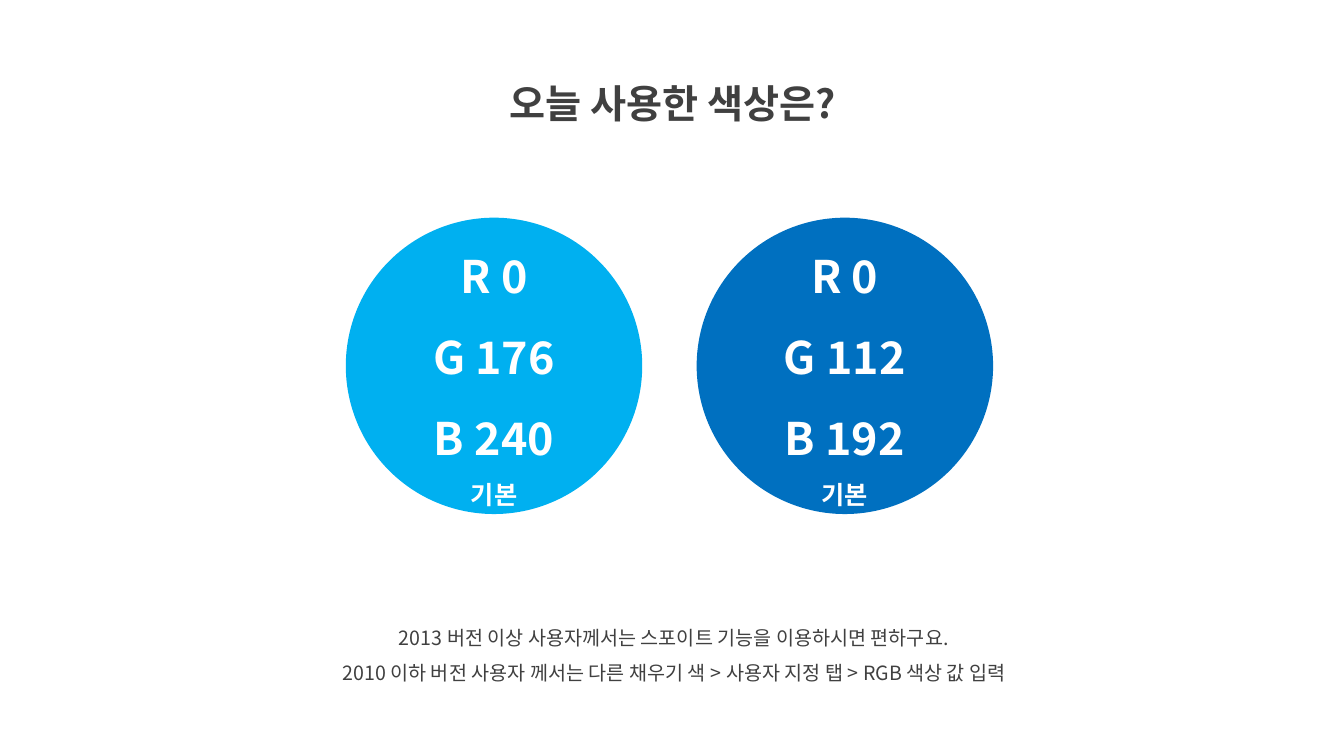
from lxml.etree import SubElement
from pptx import Presentation
from pptx.dml.color import RGBColor
from pptx.enum.shapes import MSO_SHAPE
from pptx.enum.text import MSO_ANCHOR, MSO_AUTO_SIZE, PP_ALIGN
from pptx.oxml.ns import qn
from pptx.util import Emu, Pt

PX = 9144
FONT = "Noto Sans CJK KR"
INK = RGBColor(0x40, 0x40, 0x40)
WHITE = RGBColor(0xFF, 0xFF, 0xFF)
SKY = RGBColor(0, 176, 240)
BLUE = RGBColor(0, 112, 192)


def scale(*box):
    """Turn px lengths into EMU."""
    return [Emu(n * PX) for n in box]


def write(frame, lines, sizes, color, bold, anchor):
    """Fill a text frame with centred lines, one size per line."""
    frame.text = "\n".join(lines)
    frame.word_wrap = True
    frame.vertical_anchor = anchor
    for para, size in zip(frame.paragraphs, sizes):
        para.alignment = PP_ALIGN.CENTER
        para.line_spacing = 1.5
        for run in para.runs:
            font = run.font
            font.size = Pt(size)
            font.bold = bold
            font.color.rgb = color
            font.name = FONT
            SubElement(font._element, qn("a:ea"), typeface=FONT)


def head(slide, box):
    """Place the slide title in the box."""
    title = slide.shapes.title
    title.left, title.top, title.width, title.height = scale(*box)
    write(title.text_frame, ["오늘 사용한 색상은?"], [28], INK, True, MSO_ANCHOR.TOP)
    title.text_frame.auto_size = MSO_AUTO_SIZE.SHAPE_TO_FIT_TEXT


def swatches(slide, box, colors):
    """Spread one labelled circle per colour evenly across the box."""
    left, top, width, size = box
    step = (width - size) // (len(colors) - 1)
    for i, color in enumerate(colors):
        disc = slide.shapes.add_shape(
            MSO_SHAPE.OVAL, *scale(left + i * step, top, size, size))
        disc.shadow.inherit = False
        disc.fill.solid()
        disc.fill.fore_color.rgb = color
        disc.line.fill.background()
        lines = [f"{name} {value}" for name, value in zip("RGB", color)]
        write(disc.text_frame, lines + ["기본"], [32, 32, 32, 18],
              WHITE, True, MSO_ANCHOR.MIDDLE)


def hints(slide, box):
    """Place the two lines of usage hints in the box."""
    frame = slide.shapes.add_textbox(*scale(*box)).text_frame
    lines = ["2013 버전 이상 사용자께서는 스포이트 기능을 이용하시면 편하구요.",
             "2010 이하 버전 사용자 께서는 다른 채우기 색 > 사용자 지정 탭 > RGB 색상 값 입력"]
    write(frame, lines, [14, 14], INK, False, MSO_ANCHOR.TOP)
    frame.auto_size = MSO_AUTO_SIZE.SHAPE_TO_FIT_TEXT


def main():
    """Build and save the slide."""
    deck = Presentation()
    deck.slide_width, deck.slide_height = scale(1333, 750)
    slide = deck.slides.add_slide(deck.slide_layouts.get_by_name("Title Only"))
    head(slide, (436, 50, 463, 72))
    hints(slide, (269, 604, 799, 81))
    swatches(slide, (343, 216, 642, 294), [SKY, BLUE])
    deck.save("out.pptx")


if __name__ == "__main__":
    main()
